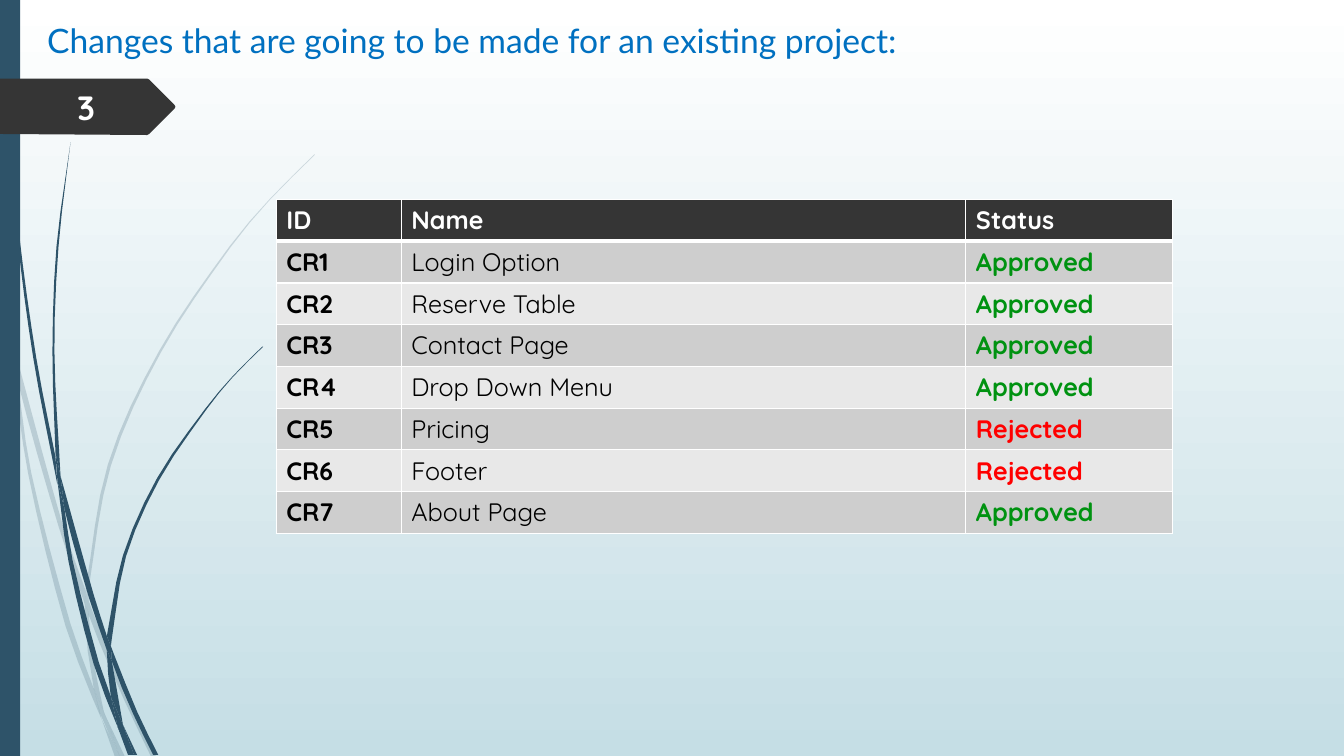
"""Builds the change request slide with its status table and curved blades."""
from dataclasses import dataclass
from math import ceil, dist
from typing import NamedTuple

from lxml import etree
from pptx import Presentation
from pptx import util as u
from pptx.dml.color import RGBColor
from pptx.enum import shapes, text
from pptx.oxml.ns import qn

Point = tuple[float, float]


@dataclass(frozen=True)
class Theme:
    sky: str = "FFFFFF"
    mist: str = "C5DEE5"
    blue: str = "2E5369"
    dark: str = "353535"
    white: str = "FFFFFF"
    black: str = "000000"
    title: str = "0070C0"
    bands: tuple[str, str] = ("CECECE", "E8E8E8")
    approved: str = "009211"
    rejected: str = "FF0000"
    heading_font: str = "Lato"
    body_font: str = "Quicksand"
    heading_size: int = 24
    body_size: int = 18


class Blade(NamedTuple):
    outward: tuple[Point, ...]
    back: tuple[Point, ...]


class Request(NamedTuple):
    name: str
    approved: bool = True


THEME = Theme()
HEADINGS = ("ID", "Name", "Status")
COLUMNS = (1.24, 5.6, 2.05)
ROW_HEIGHT = 0.41
REQUESTS = (
    Request("Login Option"), Request("Reserve Table"), Request("Contact Page"),
    Request("Drop Down Menu"), Request("Pricing", False), Request("Footer", False),
    Request("About Page"),
)
FAINT_BLADES = (
    Blade(((.11, 3.5), (.09, 3.22), (0, 2.82)), ((0, 2.99), (.1, 3.44))),
    Blade(((.14, 3.45), (.17, 3.76), (.58, 5.22), (.84, 5.99)),
          ((.85, 5.86), (.62, 5.2), (.14, 3.45))),
    Blade(((.88, 5.96), (.88, 6.1), (1.23, 6.94), (1.5, 7.51)),
          ((1.55, 7.51), (1.27, 6.92), (.92, 6.07))),
    Blade(((1.05, 7.11), (1.19, 7.51)), ((1.24, 7.51), (1.05, 7.11))),
    Blade(((.11, 3.5), (.28, 4.7), (.65, 6.21), (.92, 6.93), (1.01, 7.14)),
          ((.93, 6.83), (.7, 6.19), (.31, 4.69), (.17, 3.76), (.11, 3.5))),
    Blade(((.84, 5.99), (.87, 6.46), (.93, 6.83), (1.05, 7.11)),
          ((1.03, 7.06), (.91, 6.46), (.88, 6.08), (.84, 5.99))),
    Blade(((.88, 5.96), (.88, 5.84), (1.1, 4.62), (1.6, 3.49), (2.29, 2.45),
           (2.68, 1.98), (3.12, 1.54)),
          ((3.12, 1.53), (2.68, 1.97), (2.28, 2.44), (1.58, 3.48),
           (1.07, 4.61), (.85, 5.84))),
    Blade(((1.01, 7.14), (1.14, 7.51)), ((1.19, 7.51), (1.01, 7.14))),
    Blade(((.88, 6.08), (.88, 5.96)), ((.85, 5.86), (.84, 5.99))),
    Blade(((.93, 6.83), (.99, 7.07), (1.19, 7.51)), ((1.05, 7.11), (.93, 6.83))),
)
SOLID_BLADES = (
    Blade(((.03, 0), (.07, 1.1), (.17, 2.33), (.33, 3.55), (.57, 4.81)),
          ((.55, 4.53), (.36, 3.55), (.19, 2.32), (.08, 1.09), (.04, 0))),
    Blade(((.6, 4.72), (.64, 5.05), (.88, 5.92), (1.06, 6.45)),
          ((1.06, 6.31), (.93, 5.9), (.6, 4.72))),
    Blade(((1.1, 6.41), (1.11, 6.56), (1.32, 7.08), (1.52, 7.49)),
          ((1.57, 7.49), (1.36, 7.06), (1.13, 6.49))),
    Blade(((.57, 4.77), (.68, 5.57), (.93, 6.59), (1.17, 7.22)),
          ((1.1, 6.91), (.98, 6.57), (.72, 5.56), (.64, 5.05), (.57, 4.77))),
    Blade(((.6, 4.72), (.54, 3.49), (.58, 2.45), (.7, 1.41)),
          ((.7, 1.41), (.56, 2.45), (.52, 3.49), (.55, 4.49))),
    Blade(((1.22, 7.19), (1.33, 7.49)), ((1.36, 7.49), (1.22, 7.19))),
    Blade(((.55, 4.49), (.57, 4.77), (.64, 5.05)), ((.6, 4.72), (.55, 4.49))),
    Blade(((1.1, 6.41), (1.11, 6.33), (1.25, 5.52), (1.58, 4.76), (2.05, 4.06),
           (2.31, 3.74), (2.61, 3.44)),
          ((2.6, 3.44), (2.31, 3.73), (2.04, 4.05), (1.56, 4.74),
           (1.22, 5.51), (1.06, 6.31))),
    Blade(((1.17, 7.22), (1.27, 7.49)), ((1.31, 7.49), (1.17, 7.22))),
    Blade(((1.06, 6.45), (1.1, 6.91), (1.22, 7.19)), ((1.11, 6.56), (1.06, 6.45))),
    Blade(((1.06, 6.45), (1.11, 6.56)), ((1.1, 6.41), (1.06, 6.31))),
    Blade(((1.1, 6.91), (1.17, 7.22), (1.3, 7.49)), ((1.33, 7.49), (1.22, 7.19), (1.1, 6.91))),
)
FLAG = ((0, .78), (1.46, .78), (1.48, .79), (1.73, 1.04), (1.74, 1.06), (1.73, 1.08),
        (1.48, 1.33), (1.46, 1.34), (0, 1.33))


def smooth(knots: tuple[Point, ...], spacing: float = 0.4) -> list[Point]:
    """Return points on a smooth curve through the knots."""
    slopes = []
    for i in range(len(knots)):
        before, after = max(i - 1, 0), min(i + 1, len(knots) - 1)
        length = sum(dist(knots[j], knots[j + 1]) for j in range(before, after))
        slopes.append([(b - a) / length for a, b in zip(knots[before], knots[after])])
    curve = [knots[0]]
    for start, end, leave, arrive in zip(knots, knots[1:], slopes, slopes[1:]):
        reach = dist(start, end)
        steps = ceil(reach / spacing)
        for t in (step / steps for step in range(1, steps + 1)):
            curve.append(tuple(
                (2*t**3 - 3*t**2 + 1) * a + (3*t**2 - 2*t**3) * b
                + reach * ((t**3 - 2*t**2 + t) * m + (t**3 - t**2) * n)
                for a, b, m, n in zip(start, end, leave, arrive)))
    return curve


def paint(shape, color: str, opacity: int = 100) -> None:
    """Give a shape a flat fill without line or shadow."""
    shape.shadow.inherit = False
    shape.line.fill.background()
    shape.fill.solid()
    shape.fill.fore_color.rgb = RGBColor.from_string(color)
    if opacity < 100:
        swatch = shape.fill._xPr.find(".//" + qn("a:srgbClr"))
        etree.SubElement(swatch, qn("a:alpha"), val=str(opacity * 1000))


def draw_outline(page, points, color: str, opacity: int = 100) -> None:
    """Draw a closed outline given in inches."""
    corners = [(u.Inches(x), u.Inches(y)) for x, y in points]
    builder = page.shapes.build_freeform(*corners[0], scale=1.0)
    builder.add_line_segments(corners[1:], close=True)
    paint(builder.convert_to_shape(), color, opacity)


def write(frame, words: str, *, color: str, size: int = THEME.body_size,
          font: str = THEME.body_font, bold: bool = False) -> None:
    """Put one formatted run into a text frame."""
    span = frame.paragraphs[0].add_run()
    span.text = words
    span.font.name, span.font.size, span.font.bold = font, u.Pt(size), bold
    span.font.color.rgb = RGBColor.from_string(color)


def add_label(page, left: float, top: float, width: float, words: str, **style) -> None:
    """Add a one-line text box that fits its text."""
    box = page.shapes.add_textbox(*map(u.Inches, (left, top, width, 0.5)))
    box.text_frame.word_wrap = False
    box.text_frame.auto_size = text.MSO_AUTO_SIZE.SHAPE_TO_FIT_TEXT
    write(box.text_frame, words, size=THEME.heading_size, **style)


def fill_cell(cell, words: str, fill: str, top: int = 1, bottom: int = 1, **style) -> None:
    """Write a table cell with its fill and white borders."""
    write(cell.text_frame, words, **style)
    cell.fill.solid()
    cell.fill.fore_color.rgb = RGBColor.from_string(fill)
    properties = cell._tc.get_or_add_tcPr()
    for place, (side, points) in enumerate(zip("LRTB", (1, 1, top, bottom))):
        line = etree.Element(qn(f"a:ln{side}"), w=str(int(u.Pt(points))))
        solid = etree.SubElement(line, qn("a:solidFill"))
        etree.SubElement(solid, qn("a:srgbClr"), val=THEME.white)
        properties.insert(place, line)


def add_requests(page) -> None:
    """Add the table of change requests."""
    count = len(REQUESTS) + 1
    table = page.shapes.add_table(count, len(COLUMNS), *map(
        u.Inches, (2.74, 1.98, sum(COLUMNS), ROW_HEIGHT * count))).table
    table.horz_banding = False
    for column, width in zip(table.columns, COLUMNS):
        column.width = u.Inches(width)
    for i, heading in enumerate(HEADINGS):
        fill_cell(table.cell(0, i), heading, THEME.dark, bottom=3, color=THEME.white, bold=True)
    for row, request in enumerate(REQUESTS, 1):
        status = ("Approved", THEME.approved) if request.approved else ("Rejected", THEME.rejected)
        entries = ((f"CR{row}", THEME.black), (request.name, THEME.black), status)
        for i, (words, color) in enumerate(entries):
            fill_cell(table.cell(row, i), words, THEME.bands[(row - 1) % 2],
                      top=3 if row == 1 else 1, color=color, bold=i != 1)


def build() -> None:
    """Build the deck and save it."""
    deck = Presentation()
    deck.slide_width, deck.slide_height = u.Inches(13.33), u.Inches(7.5)
    page = deck.slides.add_slide(deck.slide_layouts[6])
    backdrop = page.background.fill
    backdrop.gradient()
    backdrop.gradient_angle = 270
    for stop, color in zip(backdrop.gradient_stops, (THEME.sky, THEME.mist)):
        stop.color.rgb = RGBColor.from_string(color)
    for blades, opacity in ((FAINT_BLADES, 20), (SOLID_BLADES, 100)):
        for blade in blades:
            draw_outline(page, smooth(blade.outward) + smooth(blade.back), THEME.blue, opacity)
    bar = page.shapes.add_shape(shapes.MSO_SHAPE.RECTANGLE, 0, 0, u.Inches(0.2), deck.slide_height)
    paint(bar, THEME.blue)
    draw_outline(page, FLAG, THEME.dark)
    add_requests(page)
    add_label(page, 0.37, 0.15, 8.87, "Changes that are going to be made for an existing project:",
              color=THEME.title, font=THEME.heading_font)
    add_label(page, 0.67, 0.81, 0.39, "3", color=THEME.white, bold=True)
    deck.save("out.pptx")


build()
